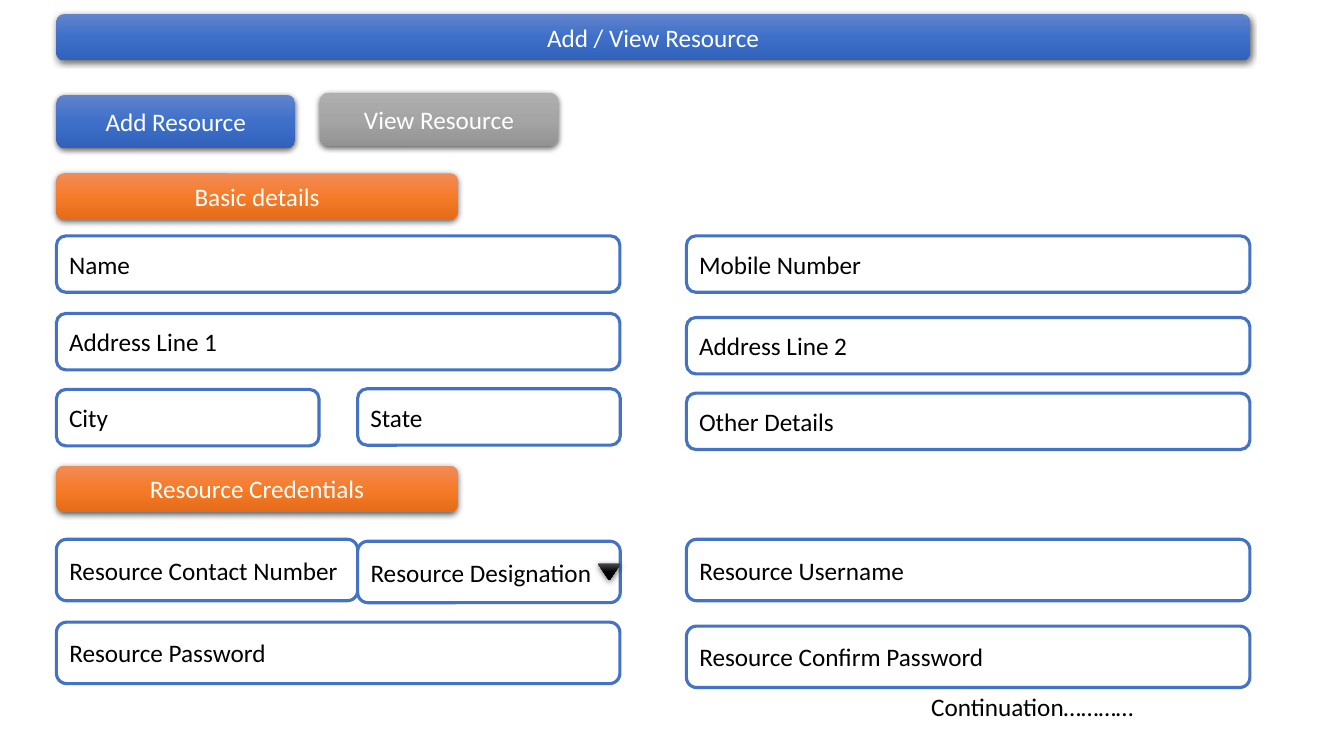
from collections import namedtuple

from pptx import Presentation
from pptx.dml.color import RGBColor
from pptx.enum.shapes import MSO_SHAPE
from pptx.enum.text import MSO_ANCHOR, MSO_AUTO_SIZE, PP_ALIGN
from pptx.oxml import parse_xml
from pptx.oxml.ns import nsdecls, qn
from pptx.util import Pt

Box = namedtuple("Box", "left top width height")

BLUE = ("6183CB", "3E70CA", "3062BB")
GRAY = ("AFAFAF", "A5A5A5", "939393")
ORANGE = ("F18C57", "F67B28", "E56C19")
BLACK = ("4B4B4B", "000000", "000000")
OUTLINE = "4472C4"

# Form columns: the left one can be split at MIDDLE
COLUMN_WIDTH = 402.5
RIGHT = 450
MIDDLE = 215.2
HALF_WIDTH = 187.6
CONTENT_WIDTH = RIGHT + COLUMN_WIDTH


def color(value):
    return RGBColor.from_string(value)


def inside(box, left, top, width, height):
    return Box(box.left + left, box.top + top, width, height)


def write(shape, text, ink, align):
    frame = shape.text_frame
    frame.word_wrap = True
    para = frame.paragraphs[0]
    para.alignment = align
    span = para.add_run()
    span.text = text
    span.font.name = "Calibri"
    span.font.size = Pt(18)
    span.font.color.rgb = color(ink)


def add_shape(page, kind, box):
    shape = page.shapes.add_shape(kind, *map(Pt, box))
    shape.shadow.inherit = False
    return shape


def add_raised(page, kind, box, shades):
    """Shape with a vertical three-stop gradient and a soft shadow."""
    shape = add_shape(page, kind, box)
    shape.line.fill.background()
    shape.fill.gradient()
    properties = shape._element.spPr
    stops = "".join(
        f'<a:gs pos="{place * 50000}"><a:srgbClr val="{shade}"/></a:gs>'
        for place, shade in enumerate(shades))
    gradient = parse_xml(
        f'<a:gradFill {nsdecls("a")} rotWithShape="1"><a:gsLst>{stops}</a:gsLst>'
        '<a:lin ang="5400000" scaled="0"/></a:gradFill>')
    properties.replace(properties.find(qn("a:gradFill")), gradient)
    properties.find(qn("a:effectLst")).append(parse_xml(
        f'<a:outerShdw {nsdecls("a")} blurRad="{Pt(4.5)}" dist="{Pt(1.5)}" '
        'dir="5400000" algn="ctr" rotWithShape="0"><a:srgbClr val="000000">'
        '<a:alpha val="63000"/></a:srgbClr></a:outerShdw>'))
    return shape


def add_button(page, box, text, shades):
    button = add_raised(page, MSO_SHAPE.ROUNDED_RECTANGLE, box, shades)
    write(button, text, "FFFFFF", PP_ALIGN.CENTER)


def add_field(page, box, text):
    field = add_shape(page, MSO_SHAPE.ROUNDED_RECTANGLE, box)
    field.fill.solid()
    field.fill.fore_color.rgb = color("FFFFFF")
    field.line.color.rgb = color(OUTLINE)
    field.line.width = Pt(2.25)
    write(field, text, "000000", PP_ALIGN.LEFT)


def add_tabs(page, box):
    width = 170.6
    add_button(page, inside(box, 0, 1.5, width, box.height), "Add Resource", BLUE)
    add_button(page, inside(box, 188, 0, width, box.height), "View Resource", GRAY)


def add_section(page, box, title, field_height, fields):
    """Orange heading followed by fields given as (text, left, top, width)."""
    add_button(page, inside(box, 0, 0, 286.6, 33.1), title, ORANGE)
    for text, left, top, width in fields:
        add_field(page, inside(box, left, top, width, field_height), text)


def add_dropdown_arrow(page, box):
    arrow = inside(box, 386.6, 69.8, 16.6, 12.2)
    add_raised(page, MSO_SHAPE.FLOWCHART_MERGE, arrow, BLACK)


def add_continuation(page, box):
    note = page.shapes.add_textbox(*map(Pt, box))
    note.text_frame.auto_size = MSO_AUTO_SIZE.SHAPE_TO_FIT_TEXT
    note.text_frame.vertical_anchor = MSO_ANCHOR.TOP
    write(note, "Continuation…………", "000000", PP_ALIGN.LEFT)


BASIC_FIELDS = [
    ("Name", 0, 44.7, COLUMN_WIDTH),
    ("Mobile Number", RIGHT, 44.7, COLUMN_WIDTH),
    ("Address Line 1", 0, 100.1, COLUMN_WIDTH),
    ("Address Line 2", RIGHT, 103, COLUMN_WIDTH),
    ("City", 0, 154.4, HALF_WIDTH),
    ("State", MIDDLE, 153.9, HALF_WIDTH),
    ("Other Details", RIGHT, 157, COLUMN_WIDTH),
]
CREDENTIAL_FIELDS = [
    ("Resource Contact Number", 0, 52.6, MIDDLE),
    ("Resource Designation", MIDDLE, 54, HALF_WIDTH),
    ("Resource Username", RIGHT, 52.6, COLUMN_WIDTH),
    ("Resource Password", 0, 111.8, COLUMN_WIDTH),
    ("Resource Confirm Password", RIGHT, 114.6, COLUMN_WIDTH),
]

deck = Presentation()
deck.slide_width, deck.slide_height = Pt(960), Pt(540)
page = deck.slides.add_slide(deck.slide_layouts[6])

# Title bar and tabs
add_button(page, Box(40.3, 10.1, CONTENT_WIDTH, 33.1), "Add / View Resource", BLUE)
add_tabs(page, Box(40.3, 66.2, CONTENT_WIDTH, 38.2))

# Form sections
basic = Box(40.3, 123.8, CONTENT_WIDTH, 197.3)
add_section(page, basic, "Basic details", 40.3, BASIC_FIELDS)
credentials = Box(40.3, 332.6, CONTENT_WIDTH, 158.5)
add_section(page, credentials, "Resource Credentials", 43.9, CREDENTIAL_FIELDS)
add_dropdown_arrow(page, credentials)

# Footer note
add_continuation(page, Box(658.1, 490.3, 235.4, 29.1))

deck.save("out.pptx")
